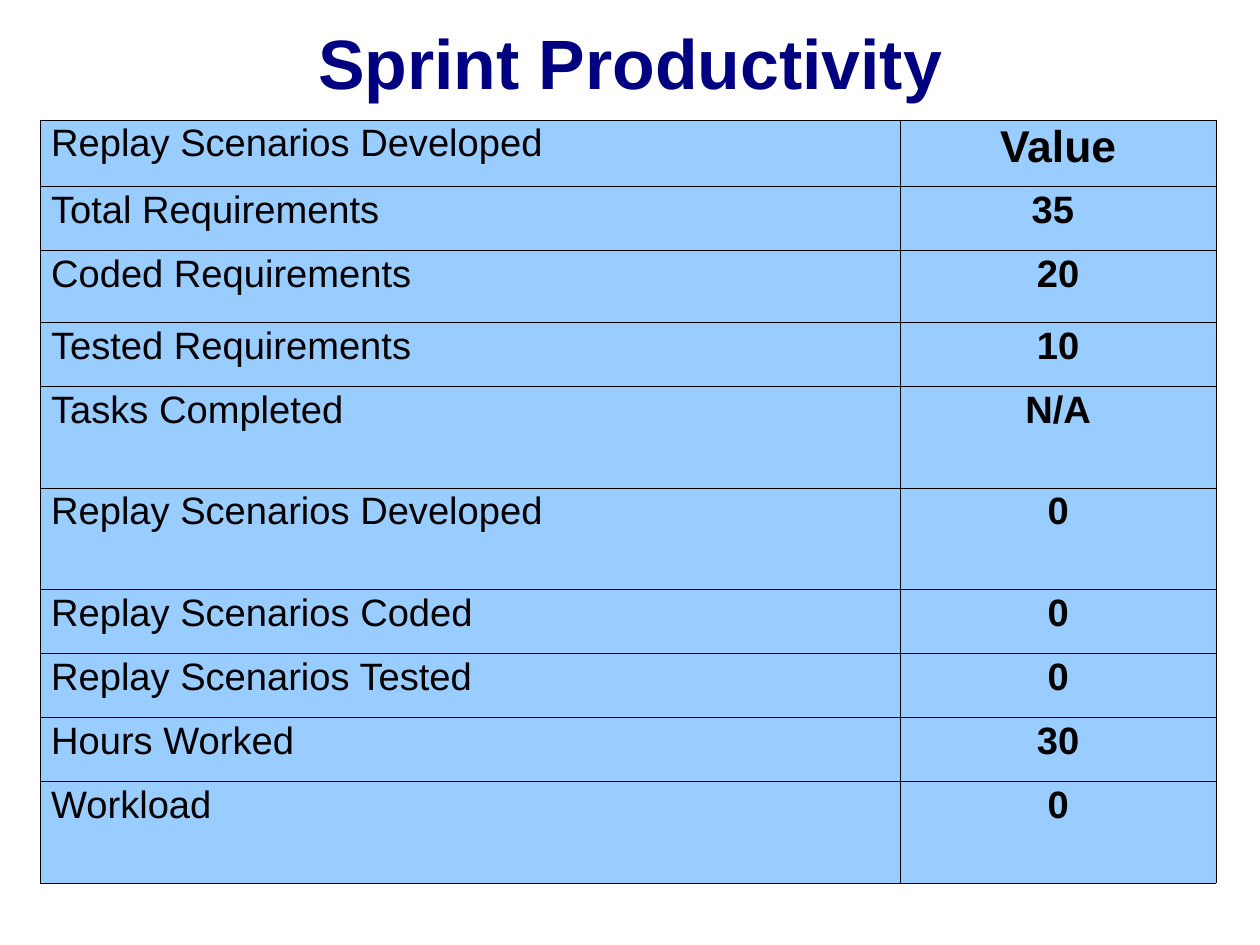
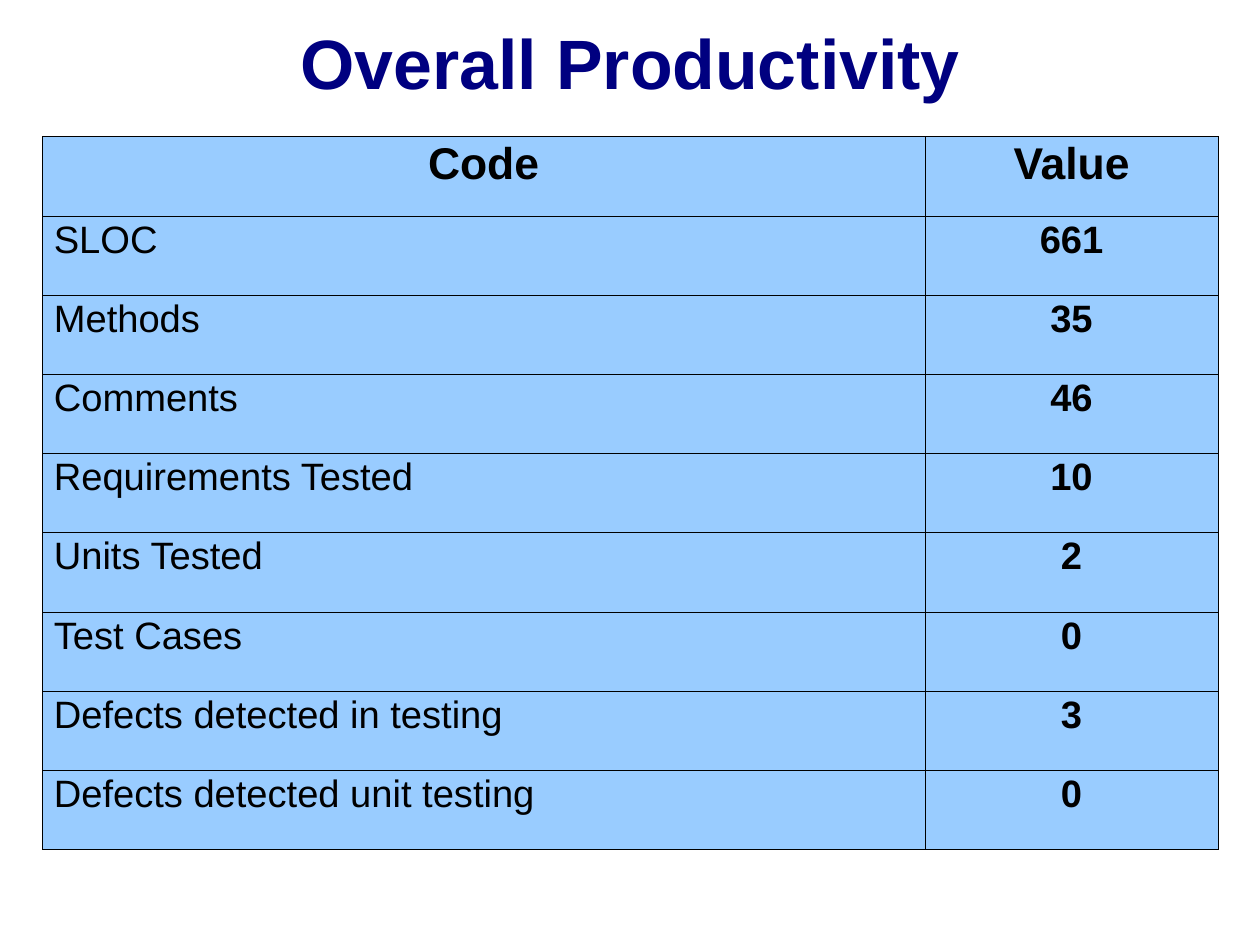
from dataclasses import dataclass

from lxml.etree import SubElement
from pptx import Presentation
from pptx.dml.color import RGBColor
from pptx.enum.text import MSO_ANCHOR, MSO_AUTO_SIZE, PP_ALIGN
from pptx.oxml.ns import qn
from pptx.util import Pt


@dataclass(frozen=True)
class TextStyle:
    size: float
    color: str
    bold: bool
    align: PP_ALIGN
    space_before: float = 0
    line_spacing: float = 1


@dataclass(frozen=True)
class Theme:
    font: str = "Arial"
    cell_fill: str = "99CCFF"
    border: str = "000000"
    outer_line: float = 0.23
    inner_line: float = 0.17
    title: TextStyle = TextStyle(44, "000080", True, PP_ALIGN.CENTER)
    heading: TextStyle = TextStyle(28, "000000", True, PP_ALIGN.CENTER, 7, 0.93)
    label: TextStyle = TextStyle(24, "000000", False, PP_ALIGN.LEFT, 7, 0.93)
    value: TextStyle = TextStyle(24, "000000", True, PP_ALIGN.CENTER, 0, 0.93)


THEME = Theme()
TITLE_BOX = (60, 6, 674.6, 66)
TITLE_ONLY = 5

# Row heights of the sprint table
SHORT, TALL = 40.3, 64.1

SPRINT_ROWS = [
    ("Replay Scenarios Developed", "Value", 41.8),
    ("Total Requirements", "35 ", SHORT),
    ("Coded Requirements", "20", 45.4),
    ("Tested Requirements", "10", SHORT),
    ("Tasks Completed", "N/A", TALL),
    ("Replay Scenarios Developed", "0", TALL),
    ("Replay Scenarios Coded", "0", SHORT),
    ("Replay Scenarios Tested", "0", SHORT),
    ("Hours Worked", "30", SHORT),
    ("Workload", "0", TALL),
]

OVERALL_HEIGHT = 49.9
OVERALL_ROWS = [
    (label, value, OVERALL_HEIGHT)
    for label, value in [
        ("Code", "Value"),
        ("SLOC", "661"),
        ("Methods", "35"),
        ("Comments", "46"),
        ("Requirements Tested", "10"),
        ("Units Tested", "2"),
        ("Test Cases", "0"),
        ("Defects detected in testing", "3"),
        ("Defects detected unit testing", "0"),
    ]
]


def write_text(frame, text, style):
    """Fill the first paragraph of a text frame with one styled run."""
    para = frame.paragraphs[0]
    para.alignment = style.align
    para.space_before = Pt(style.space_before)
    para.line_spacing = style.line_spacing
    span = para.add_run()
    span.text = text
    span.font.name = THEME.font
    span.font.size = Pt(style.size)
    span.font.bold = style.bold
    span.font.color.rgb = RGBColor.from_string(style.color)


def add_page(deck, title):
    """Add a page with the shared title style."""
    page = deck.slides.add_slide(deck.slide_layouts[TITLE_ONLY])
    box = page.shapes.title
    box.left, box.top, box.width, box.height = map(Pt, TITLE_BOX)
    frame = box.text_frame
    frame.auto_size = MSO_AUTO_SIZE.NONE
    frame.vertical_anchor = MSO_ANCHOR.MIDDLE
    write_text(frame, title, THEME.title)
    return page


def set_border(cell, side, width):
    """Draw one side of a cell: L, R, T or B."""
    properties = cell._tc.get_or_add_tcPr()
    line = SubElement(properties, qn(f"a:ln{side}"), w=str(Pt(width)))
    fill = SubElement(line, qn("a:solidFill"))
    SubElement(fill, qn("a:srgbClr"), val=THEME.border)


def format_cell(cell, text, style, outer_sides):
    for side in "LRTB":
        width = THEME.outer_line if side in outer_sides else THEME.inner_line
        set_border(cell, side, width)
    cell.fill.solid()
    cell.fill.fore_color.rgb = RGBColor.from_string(THEME.cell_fill)
    cell.vertical_anchor = MSO_ANCHOR.TOP
    write_text(cell.text_frame, text, style)


def add_metrics(page, left, top, widths, rows, first_style):
    """Add a label and value table; first_style is for its top left cell."""
    height = sum(row[2] for row in rows)
    table = page.shapes.add_table(
        len(rows), len(widths), Pt(left), Pt(top), Pt(sum(widths)), Pt(height)
    ).table
    table.first_row = table.horz_banding = False
    for column, width in zip(table.columns, widths):
        column.width = Pt(width)
    for index, (label, value, row_height) in enumerate(rows):
        table.rows[index].height = Pt(row_height)
        is_first = index == 0
        label_style = first_style if is_first else THEME.label
        value_style = THEME.heading if is_first else THEME.value
        top_side = "T" if is_first else ""
        format_cell(table.cell(index, 0), label, label_style, "L" + top_side)
        format_cell(table.cell(index, 1), value, value_style, "R" + top_side)


def main():
    deck = Presentation()
    deck.slide_width, deck.slide_height = Pt(793.7), Pt(595.3)

    # Sprint figures
    page = add_page(deck, "Sprint Productivity")
    add_metrics(page, 25, 75.4, (542.2, 198.7), SPRINT_ROWS, THEME.label)

    # Overall figures
    page = add_page(deck, "Overall Productivity")
    add_metrics(page, 26.7, 86, (555.8, 185), OVERALL_ROWS, THEME.heading)

    deck.save("out.pptx")


if __name__ == "__main__":
    main()
